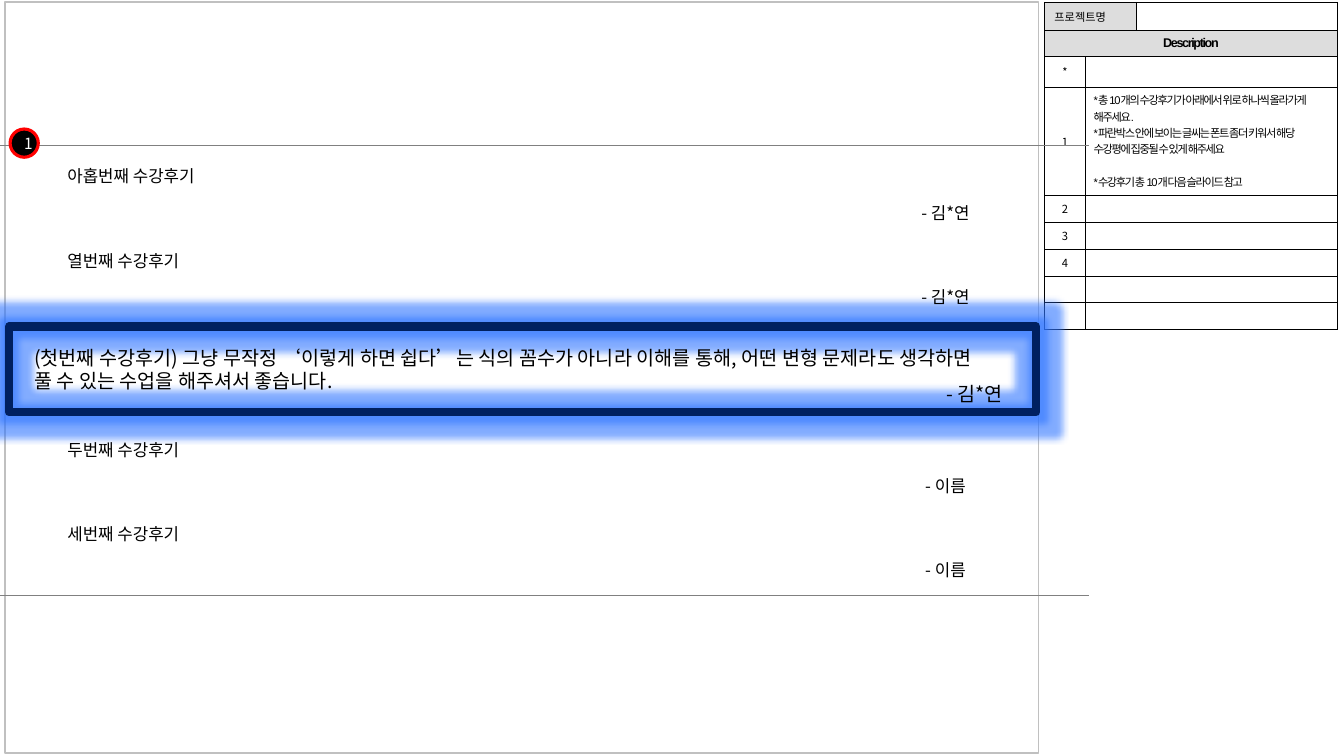
from dataclasses import dataclass
from lxml.etree import SubElement
from pptx import Presentation
from pptx.dml.color import RGBColor
from pptx.enum.shapes import MSO_CONNECTOR, MSO_SHAPE
from pptx.enum.text import MSO_ANCHOR, MSO_AUTO_SIZE, PP_ALIGN
from pptx.oxml import parse_xml
from pptx.oxml.ns import nsdecls, qn
from pptx.util import Inches, Pt

BLACK = RGBColor(0x00, 0x00, 0x00)
WHITE = RGBColor(0xFF, 0xFF, 0xFF)
RED = RGBColor(0xFF, 0x00, 0x00)
NAVY = RGBColor(0x00, 0x20, 0x60)
GLOW = RGBColor(0x2F, 0x75, 0xFF)
SILVER = RGBColor(0xC0, 0xC0, 0xC0)
GRAY = RGBColor(0x80, 0x80, 0x80)
HEADER = RGBColor(0xDD, 0xDD, 0xDD)
KOREAN = "Noto Sans CJK KR"
LATIN = "Arial"
COLS, ROWS = 133.33, 75
REVIEW_PITCH, AUTHOR_DROP = 8.35, 3.6


@dataclass
class Box:
    col: float
    row: float
    cols: float
    rows: float

    def emu(self) -> tuple:
        return tuple(grid(n) for n in (self.col, self.row, self.cols, self.rows))


@dataclass
class Style:
    size: float
    font: str = KOREAN
    color: RGBColor = BLACK
    bold: bool = False
    spacing: int = 0


@dataclass
class Review:
    title: str
    author: str
    row: float


@dataclass
class Cell:
    row: int
    col: int
    lines: tuple
    style: Style
    align: PP_ALIGN = PP_ALIGN.CENTER
    side: float = 0.4
    anchor: MSO_ANCHOR = MSO_ANCHOR.MIDDLE


def grid(n: float) -> int:
    return Inches(n / 10)


def add_run(p, text: str, style: Style) -> None:
    r = p.add_run()
    r.text = text
    r.font.size = Pt(style.size)
    r.font.bold = style.bold
    r.font.color.rgb = style.color
    r.font.name = style.font
    rPr = r.font._element
    SubElement(rPr, qn("a:ea")).set("typeface", KOREAN)
    if style.spacing:
        rPr.set("spc", str(style.spacing))


def write(tf, lines: tuple, style: Style, align: PP_ALIGN) -> None:
    for i, line in enumerate(lines):
        p = tf.paragraphs[0] if i == 0 else tf.add_paragraph()
        p.alignment = align
        add_run(p, line, style)


def add_text(s, box: Box, lines: tuple, size: float, align: PP_ALIGN = PP_ALIGN.LEFT) -> None:
    tf = s.shapes.add_textbox(*box.emu()).text_frame
    tf.word_wrap = True
    tf.auto_size = MSO_AUTO_SIZE.SHAPE_TO_FIT_TEXT
    write(tf, lines, Style(size), align)


def add_outline(s, kind: MSO_SHAPE, box: Box, color: RGBColor, width: float):
    sp = s.shapes.add_shape(kind, *box.emu())
    sp.shadow.inherit = False
    sp.fill.background()
    sp.line.color.rgb = color
    sp.line.width = Pt(width)
    return sp


def add_glow(sp) -> None:
    effects = sp._element.spPr.find(qn("a:effectLst"))
    glow = SubElement(effects, qn("a:glow"), rad=str(Pt(10)))
    color = SubElement(glow, qn("a:srgbClr"), val=str(GLOW))
    SubElement(color, qn("a:alpha"), val="60000")


def add_rule(s, row: float) -> None:
    line = s.shapes.add_connector(MSO_CONNECTOR.STRAIGHT, grid(-5.1), grid(row), grid(108), grid(row))
    line.line.color.rgb = GRAY
    line.line.width = Pt(0.5)
    SubElement(line._element.spPr, qn("a:effectLst"))


def add_review(s, review: Review) -> None:
    add_text(s, Box(5.7, review.row, 92.3, 3), (review.title,), 12)
    add_text(s, Box(88.5, review.row + AUTHOR_DROP, 10.6, 3), (review.author,), 12, PP_ALIGN.CENTER)


def format_cell(cell, fill: RGBColor) -> None:
    cell.fill.solid()
    cell.fill.fore_color.rgb = fill
    tcPr = cell._tc.get_or_add_tcPr()
    for i, side in enumerate(("lnL", "lnR", "lnT", "lnB")):
        tcPr.insert(i, parse_xml(
            f'<a:{side} {nsdecls("a")} w="{Pt(0.25)}"><a:solidFill>'
            f'<a:srgbClr val="{BLACK}"/></a:solidFill></a:{side}>'))


def add_description(s, box: Box, widths: tuple, heights: tuple, cells: tuple) -> None:
    tbl = s.shapes.add_table(len(heights), len(widths), *box.emu()).table
    tbl.first_row = tbl.horz_banding = False
    for column, width in zip(tbl.columns, widths):
        column.width = grid(width)
    for row, height in zip(tbl.rows, heights):
        row.height = grid(height)
    for i in range(len(heights)):
        for j in range(len(widths)):
            format_cell(tbl.cell(i, j), HEADER if i == 1 or (i == 0 and j < 2) else WHITE)
    tbl.cell(0, 0).merge(tbl.cell(0, 1))
    tbl.cell(1, 0).merge(tbl.cell(1, 2))
    for i in range(2, len(heights)):
        tbl.cell(i, 1).merge(tbl.cell(i, 2))
    for c in cells:
        cell = tbl.cell(c.row, c.col)
        cell.margin_left = cell.margin_right = grid(c.side)
        cell.vertical_anchor = c.anchor
        write(cell.text_frame, c.lines, c.style, c.align)
    for cell in tbl.iter_cells():
        if not cell.text_frame.text:
            SubElement(cell.text_frame.paragraphs[0]._p, qn("a:endParaRPr"), sz="800")
    tbl.cell(3, 1).text_frame.paragraphs[-1].space_before = Pt(11.8)


def main() -> None:
    prs = Presentation()
    prs.slide_width, prs.slide_height = grid(COLS), grid(ROWS)
    s = prs.slides.add_slide(prs.slide_layouts[6])
    add_outline(s, MSO_SHAPE.RECTANGLE, Box(0.5, 0.2, 102.5, 74.5), SILVER, 1)

    label = Style(8)
    notes = (
        "*총 10개의 수강후기가 아래에서 위로 하나씩 올라가게 해주세요.",
        "*파란박스 안에 보이는 글씨는 폰트 좀더 키워서 해당 수강평에 집중될 수 있게 해주세요",
        "*수강후기 총 10개 다음 슬라이드 참고",
    )
    cells = (
        Cell(0, 0, ("프로젝트명",), label, PP_ALIGN.LEFT, 1),
        Cell(1, 0, ("Description",), Style(9, LATIN, bold=True, spacing=-100)),
        Cell(3, 1, notes, Style(8, LATIN, spacing=-100), PP_ALIGN.LEFT, 0.8, MSO_ANCHOR.TOP),
        *(Cell(i, 0, (mark,), label) for i, mark in enumerate("*1234", 2)),
    )
    heights = (2.8, 2.6, 3, 10.8) + (2.65,) * 5
    add_description(s, Box(103.6, 0.2, 29.1, sum(heights)), (4.1, 5, 20), heights, cells)

    add_glow(add_outline(s, MSO_SHAPE.RECTANGLE, Box(0.9, 32.4, 101.9, 8.5), NAVY, 6))
    add_text(s, Box(2.4, 33.8, 98.8, 5.7), (
        "(첫번째 수강후기) 그냥 무작정 ‘이렇게 하면 쉽다’는 식의 꼼수가 아니라 이해를 통해, 어떤 변형 문제라도 생각하면",
        "풀 수 있는 수업을 해주셔서 좋습니다.",
    ), 14)
    add_text(s, Box(90.3, 37.4, 12.8, 3.4), ("- 김*연",), 14, PP_ALIGN.CENTER)

    for review in (
        Review("두번째 수강후기", "- 이름", 43.1),
        Review("세번째 수강후기", "- 이름", 43.1 + REVIEW_PITCH),
        Review("아홉번째 수강후기", "- 김*연", 16),
        Review("열번째 수강후기", "- 김*연", 16 + REVIEW_PITCH),
    ):
        add_review(s, review)
    for row in (14.4, 59.1):
        add_rule(s, row)

    badge = add_outline(s, MSO_SHAPE.OVAL, Box(1, 12.8, 2.8, 2.8), RED, 2.25)
    badge.fill.solid()
    badge.fill.fore_color.rgb = BLACK
    badge.text_frame.vertical_anchor = MSO_ANCHOR.MIDDLE
    write(badge.text_frame, ("1",), Style(11, color=WHITE), PP_ALIGN.CENTER)
    prs.save("out.pptx")


if __name__ == "__main__":
    main()
